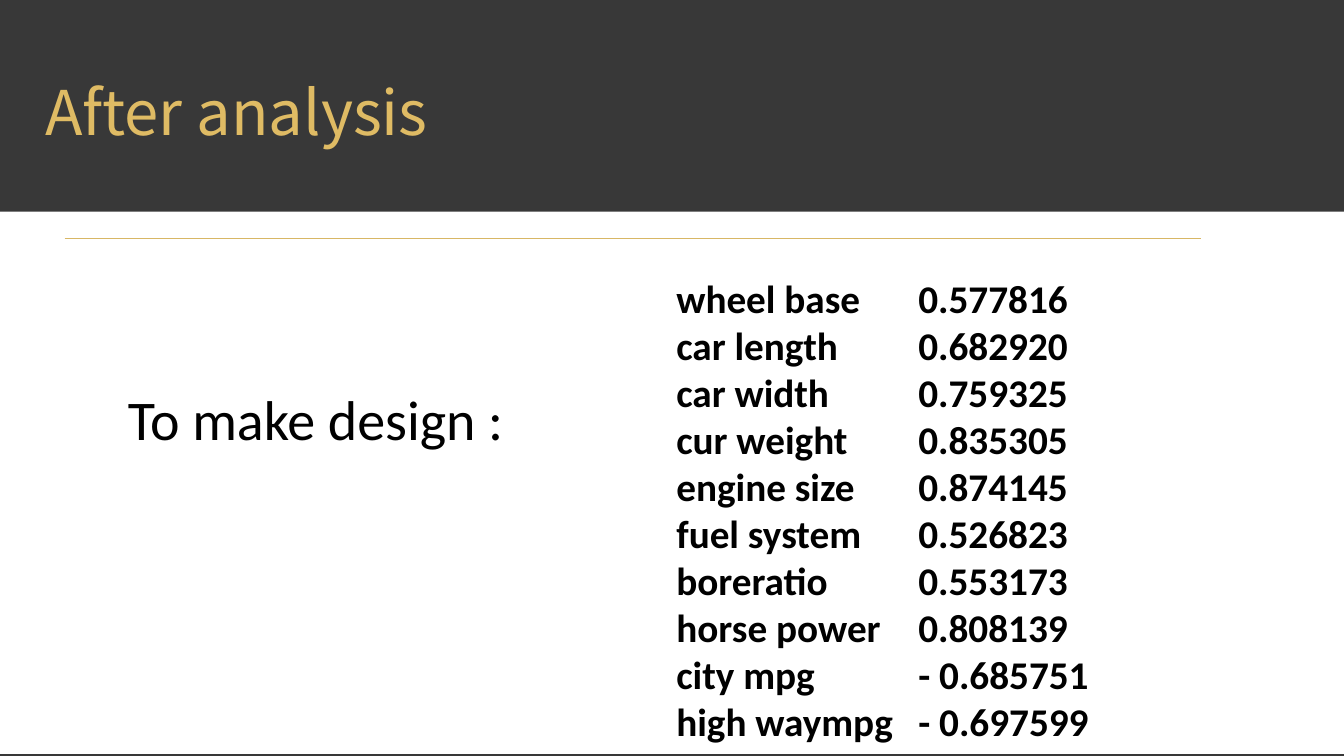
from lxml import etree
from pptx import Presentation
from pptx.dml.color import RGBColor
from pptx.enum import shapes, text
from pptx.oxml import ns
from pptx.util import Inches, Pt

DARK, WHITE, BLACK = "383838", "FFFFFF", "000000"
TITLE_GOLD, RULE_GOLD = "DFBB64", "D8B765"
CORRELATIONS = [
    ("wheel base", "0.577816"),
    ("car length", "0.682920"),
    ("car width", "0.759325"),
    ("cur weight", "0.835305"),
    ("engine size", "0.874145"),
    ("fuel system", "0.526823"),
    ("boreratio", "0.553173"),
    ("horse power", "0.808139"),
    ("city mpg", "- 0.685751"),
    ("high waympg", "- 0.697599"),
]


def color(value):
    """Turn a hex string into a colour."""
    return RGBColor.from_string(value)


def add_panel(slide, left, top, width, height, fill):
    """Add a plain filled rectangle."""
    panel = slide.shapes.add_shape(
        shapes.MSO_SHAPE.RECTANGLE, Inches(left), Inches(top), Inches(width), Inches(height))
    panel.shadow.inherit = False
    panel.fill.solid()
    panel.fill.fore_color.rgb = color(fill)
    panel.line.fill.background()


def add_rule(slide, left, top, width):
    """Add a thin gold horizontal line."""
    rule = slide.shapes.add_connector(
        shapes.MSO_CONNECTOR.STRAIGHT, Inches(left), Inches(top), Inches(left + width), Inches(top))
    rule.line.color.rgb = color(RULE_GOLD)
    rule.line.width = Pt(0.5)
    etree.SubElement(rule._element.spPr, ns.qn("a:effectLst"))


def add_text(slide, box, lines, size, font="Calibri", fill=BLACK, bold=False, wrap=True):
    """Add a text box with one paragraph per line and return its paragraphs."""
    frame = slide.shapes.add_textbox(*map(Inches, box)).text_frame
    frame.word_wrap = wrap
    frame.text = "\n".join(lines)
    for paragraph in frame.paragraphs:
        paragraph.font.name = font
        paragraph.font.size = Pt(size)
        paragraph.font.bold = bold
        paragraph.font.color.rgb = color(fill)
    return frame.paragraphs


def add_tab_stop(paragraph, position):
    """Set one left-aligned tab stop on a paragraph."""
    tabs = etree.SubElement(paragraph._p.get_or_add_pPr(), ns.qn("a:tabLst"))
    etree.SubElement(tabs, ns.qn("a:tab"), pos=str(Inches(position)), algn="l")


def add_header(slide, left, top, width, height):
    """Add the dark backdrop and the title."""
    add_panel(slide, left, top, width, height, DARK)
    title, = add_text(slide, (left + 0.3, top + 0.68, 4.1, 0.84), ["After analysis"], 44,
                      "Noto Sans CJK SC", TITLE_GOLD, wrap=False)
    title.alignment = text.PP_ALIGN.CENTER


def add_body(slide, left, top, width, height):
    """Add the white panel, its rule, the correlations and their label."""
    add_panel(slide, left, top, width, height, WHITE)
    add_rule(slide, left + 0.64, top + 0.26, 11.27)
    rows = ["\t".join(row) for row in CORRELATIONS]
    for paragraph in add_text(slide, (left + 6.61, top + 0.57, 5.68, 4.81), rows, 28, bold=True):
        add_tab_stop(paragraph, 2.4)
    add_text(slide, (left + 1.17, top + 1.67, 4.33, 0.77), ["To make design :"], 40)


def main():
    """Build and save the slide."""
    presentation = Presentation()
    presentation.slide_width, presentation.slide_height = Inches(13.33), Inches(7.5)
    slide = presentation.slides.add_slide(presentation.slide_layouts[6])
    add_header(slide, 0, 0, 13.33, 7.5)
    add_body(slide, 0, 2.1, 13.33, 5.38)
    presentation.save("out.pptx")


main()
